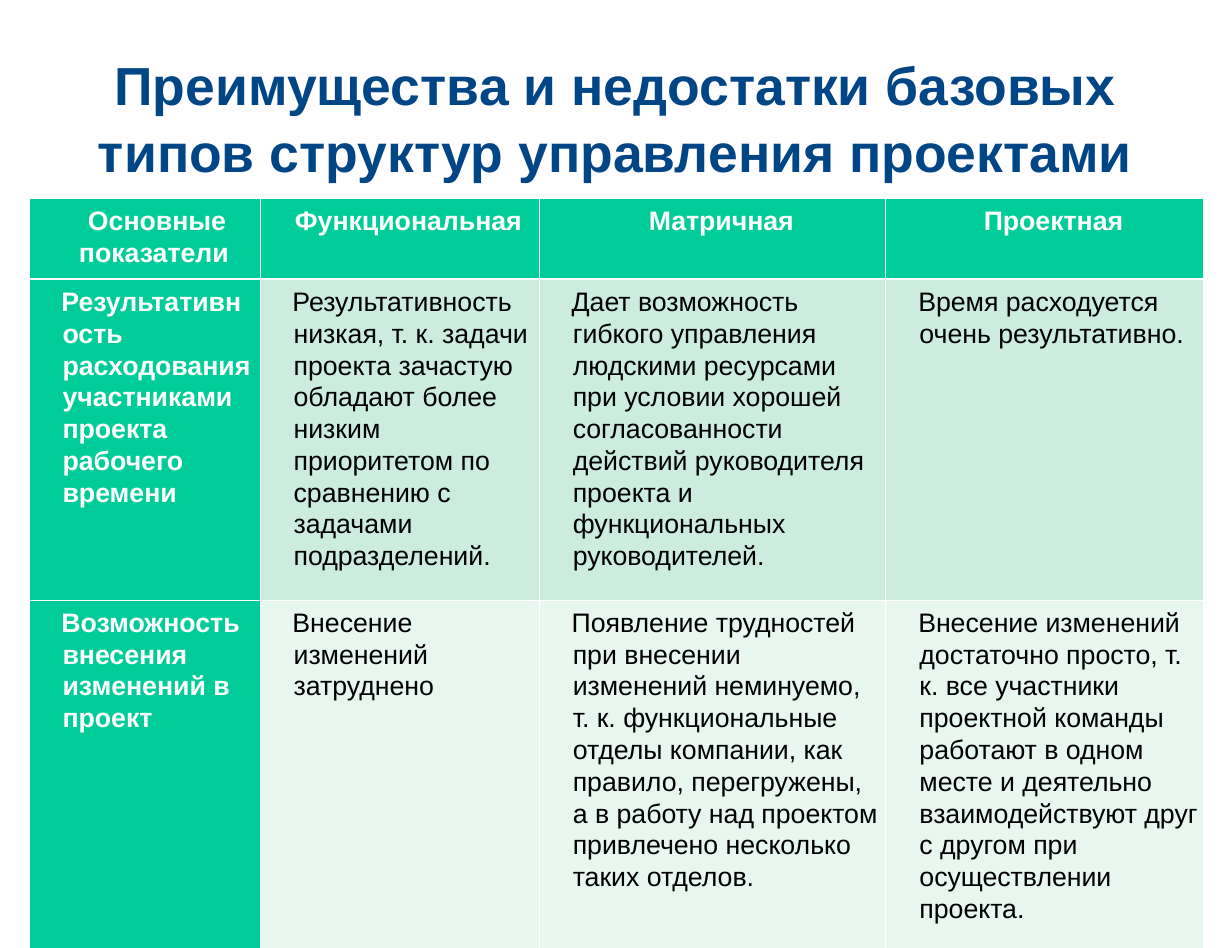
from lxml import etree
from pptx import Presentation
from pptx import util as u
from pptx.dml.color import RGBColor
from pptx.enum import text
from pptx.oxml import ns

COLORS = {
    "title": "004586",
    "header": "00CC99",
    "band_dark": "CBECDE",
    "band_light": "E7F6EF",
    "body": "000000",
    "white": "FFFFFF",
}
THIN, THICK = 0.45, 1.47
COLUMN_WIDTHS = [1.92, 2.32, 2.88, 2.64]
ROW_HEIGHTS = [0.61, 2.6, 2.89]
BANDS = ["header", "band_dark", "band_light"]
LEFT, CENTER, JUSTIFY = text.PP_ALIGN.LEFT, text.PP_ALIGN.CENTER, text.PP_ALIGN.JUSTIFY

TITLE = "Преимущества и недостатки базовых типов структур управления проектами"
COMPARISON = [
    ["Основные показатели ", "Функциональная ", "Матричная ", "Проектная "],
    [
        "Результативность расходования участниками проекта рабочего времени",
        "Результативность низкая, т. к. задачи проекта зачастую обладают более низким "
        "приоритетом по сравнению с задачами подразделений.",
        "Дает возможность гибкого управления людскими ресурсами при условии хорошей "
        "согласованности действий руководителя проекта и функциональных руководителей.",
        "Время расходуется очень результативно.",
    ],
    [
        "Возможность внесения изменений в проект",
        "Внесение изменений затруднено",
        "Появление трудностей при внесении изменений неминуемо, т. к. функциональные "
        "отделы компании, как правило, перегружены, а в работу над проектом привлечено "
        "несколько таких отделов.",
        "Внесение изменений достаточно просто, т. к. все участники проектной команды "
        "работают в одном месте и деятельно взаимодействуют друг с другом при "
        "осуществлении проекта.",
    ],
]


def write(frame, words, size, color, bold=False, align=LEFT, spacing=1.0, after=0,
          margin=0, indent=0):
    """Fill a text frame with one formatted paragraph; margin and indent in inches."""
    frame.word_wrap = True
    paragraph = frame.paragraphs[0]
    paragraph.alignment = align
    paragraph.line_spacing = spacing
    paragraph.space_after = u.Pt(after)
    properties = paragraph._p.get_or_add_pPr()
    properties.set("marL", str(u.Inches(margin)))
    properties.set("indent", str(u.Inches(indent)))
    run = paragraph.add_run()
    run.text = words
    run.font.name = "Arial"
    run.font.size = u.Pt(size)
    run.font.bold = bold
    run.font.color.rgb = RGBColor.from_string(COLORS[color])
    # The paragraph mark shares the run's size, so it does not stretch the last line.
    etree.SubElement(paragraph._p, ns.qn("a:endParaRPr"), sz=str(size * 100))


def set_insets(holder, left, top, right, bottom):
    holder.margin_left, holder.margin_top = u.Inches(left), u.Inches(top)
    holder.margin_right, holder.margin_bottom = u.Inches(right), u.Inches(bottom)


def set_borders(cell, top, bottom):
    """Draw white cell borders; must run before the cell gets its fill."""
    properties = cell._tc.get_or_add_tcPr()
    for side, width in [("L", THIN), ("R", THIN), ("T", top), ("B", bottom)]:
        line = etree.SubElement(properties, ns.qn(f"a:ln{side}"), w=str(u.Pt(width)))
        fill = etree.SubElement(line, ns.qn("a:solidFill"))
        etree.SubElement(fill, ns.qn("a:srgbClr"), val=COLORS["white"])


def add_title(slide, left, top, width, height):
    title = slide.shapes.add_textbox(*map(u.Inches, (left, top, width, height)))
    frame = title.text_frame
    set_insets(frame, 0, 0, 0, 0)
    frame.vertical_anchor = text.MSO_ANCHOR.MIDDLE
    write(frame, TITLE, 32, "title", bold=True, align=CENTER, spacing=1.04)


def add_comparison(slide, left, top, width, height):
    box = map(u.Inches, (left, top, width, height))
    table = slide.shapes.add_table(len(COMPARISON), len(COLUMN_WIDTHS), *box).table
    table.horz_banding = False
    for column, share in zip(table.columns, COLUMN_WIDTHS):
        column.width = u.Inches(width * share / sum(COLUMN_WIDTHS))
    for row, share in zip(table.rows, ROW_HEIGHTS):
        row.height = u.Inches(height * share / sum(ROW_HEIGHTS))

    for r, entries in enumerate(COMPARISON):
        for c, words in enumerate(entries):
            cell = table.cell(r, c)
            in_header = r == 0
            is_label = in_header or c == 0
            if in_header:
                set_insets(cell, 0.07, 0.05, 0.05, 0.05)
            else:
                set_insets(cell, 0.08, 0.05, 0.03, 0.05)
            set_borders(cell, THICK if r == 1 else THIN, THICK if in_header else THIN)
            cell.fill.solid()
            fill = "header" if is_label else BANDS[r]
            cell.fill.fore_color.rgb = RGBColor.from_string(COLORS[fill])
            align = CENTER if in_header else JUSTIFY if (r, c) == (2, 1) else LEFT
            write(cell.text_frame, words, 16, "white" if is_label else "body",
                  bold=is_label, align=align, spacing=1.07, after=0.5,
                  margin=0.2, indent=-0.01)


def main():
    deck = Presentation()
    # The page is metric: 26 by 20 cm.
    deck.slide_width, deck.slide_height = u.Inches(26 / 2.54), u.Inches(20 / 2.54)
    slide = deck.slides.add_slide(deck.slide_layouts[6])
    add_title(slide, 0.51, 0.31, 9.21, 1.31)
    add_comparison(slide, 0.24, 1.65, sum(COLUMN_WIDTHS), sum(ROW_HEIGHTS))
    deck.save("out.pptx")


if __name__ == "__main__":
    main()
